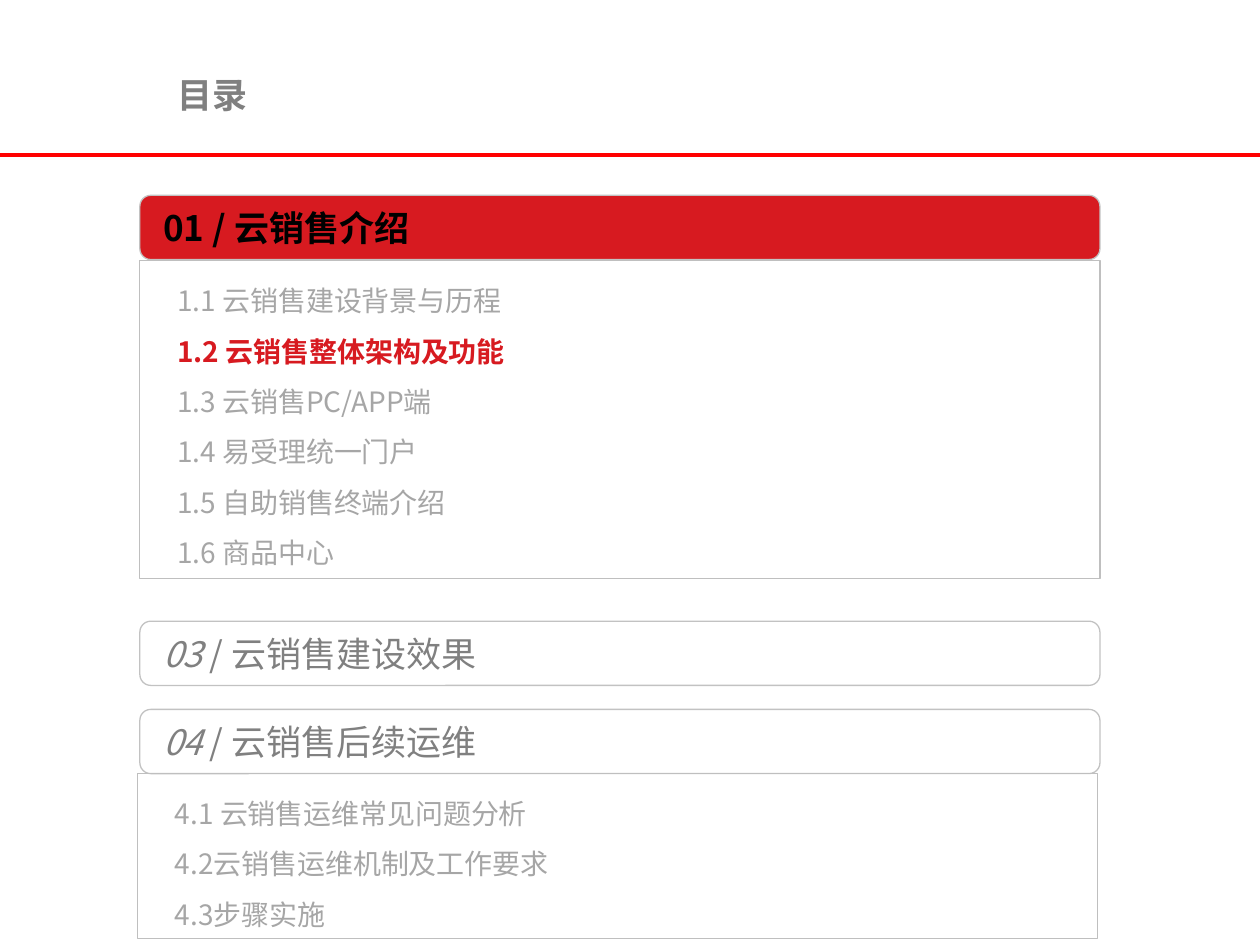
from pptx import Presentation
from pptx.dml.color import RGBColor
from pptx.enum.shapes import MSO_CONNECTOR, MSO_SHAPE
from pptx.enum.text import MSO_ANCHOR, MSO_AUTO_SIZE, PP_ALIGN
from pptx.oxml.ns import qn
from pptx.util import Inches, Pt
from lxml.etree import SubElement

FONT = "Noto Sans CJK SC"
RED, GREY, PALE, EDGE = "D71A20", "808080", "A6A6A6", "C2C2C2"
COLS, ROWS = 100, 75
LEFT, WIDE, HEAD = 11.1, 76.2, 5.1

deck = Presentation()
deck.slide_width, deck.slide_height = Inches(10), Inches(7.5)
slide = deck.slides.add_slide(deck.slide_layouts[5])


def tint(code):
    """Turn a hex string into a colour."""
    return RGBColor.from_string(code)


def place(x, y, wide, high):
    """Turn grid columns and rows into slide lengths."""
    col, row = deck.slide_width / COLS, deck.slide_height / ROWS
    return int(x * col), int(y * row), int(wide * col), int(high * row)


def write(para, text, size, code, bold=False, slant=False):
    """Add one run of text."""
    run = para.add_run()
    run.text = text
    font = run.font
    font.name, font.size, font.bold, font.italic = FONT, Pt(size), bold, slant
    font.color.rgb = tint(code)
    SubElement(font._element, qn("a:ea"), typeface=FONT)


def panel(kind, box, fill, edge):
    """Add an outlined box and return its shape."""
    shape = slide.shapes.add_shape(kind, *place(*box))
    shape.shadow.inherit = False
    if fill:
        shape.fill.solid()
        shape.fill.fore_color.rgb = tint(fill)
    else:
        shape.fill.background()
    shape.line.color.rgb = tint(edge)
    shape.line.width = Pt(0.75)
    shape.text_frame.word_wrap = True
    return shape


def title(box, text):
    """Set the slide title and the rule below it."""
    shape = slide.shapes.title
    shape.left, shape.top, shape.width, shape.height = place(*box)
    frame = shape.text_frame
    frame.auto_size = MSO_AUTO_SIZE.NONE
    frame.vertical_anchor = MSO_ANCHOR.MIDDLE
    para = frame.paragraphs[0]
    para.alignment = PP_ALIGN.LEFT
    write(para, text, 20, GREY, bold=True)
    x, y, wide, _ = place(0, 12.3, COLS, 0)
    rule = slide.shapes.add_connector(MSO_CONNECTOR.STRAIGHT, x, y, x + wide, y)
    rule.line.color.rgb = tint("FF0000")
    rule.line.width = Pt(2)
    SubElement(rule._element.spPr, qn("a:effectLst"))


def header(box, mark, text, live=False):
    """Draw a rounded section heading."""
    shape = panel(MSO_SHAPE.ROUNDED_RECTANGLE, box, RED if live else "FFFFFF", EDGE)
    shape.adjustments[0] = 0.17
    frame = shape.text_frame
    frame.margin_left = Inches(0.16)
    frame.vertical_anchor = MSO_ANCHOR.MIDDLE
    para = frame.paragraphs[0]
    para.alignment = PP_ALIGN.LEFT
    code = "000000" if live else GREY
    write(para, mark + " ", 20, code, bold=live, slant=not live)
    write(para, "/ " + text, 20, code, bold=live)


def topics(box, items, live=None):
    """Draw a framed list of topics, with the live one in red."""
    frame = panel(MSO_SHAPE.RECTANGLE, box, None, "BFBFBF").text_frame
    frame.vertical_anchor = MSO_ANCHOR.TOP
    for num, item in enumerate(items):
        para = frame.add_paragraph() if num else frame.paragraphs[0]
        para.alignment = PP_ALIGN.LEFT
        para.line_spacing = 1.5
        para._p.get_or_add_pPr().set("marL", str(Inches(0.2)))
        hot = num == live
        write(para, item, 16, RED if hot else PALE, bold=hot)


title((13.1, 4.4, 65.2, 6.2), "目录")
header((LEFT, 15.5, WIDE, HEAD), "01", "云销售介绍", live=True)
topics((LEFT, 20.7, WIDE, 25.2), [
    "1.1 云销售建设背景与历程",
    "1.2 云销售整体架构及功能",
    "1.3 云销售PC/APP端",
    "1.4 易受理统一门户",
    "1.5 自助销售终端介绍",
    "1.6 商品中心",
], live=1)
header((LEFT, 49.3, WIDE, HEAD), "03", "云销售建设效果")
header((LEFT, 56.3, WIDE, HEAD), "04", "云销售后续运维")
topics((LEFT - 0.2, 61.4, WIDE, 13.1), [
    "4.1 云销售运维常见问题分析",
    "4.2云销售运维机制及工作要求",
    "4.3步骤实施",
])
deck.save("out.pptx")
